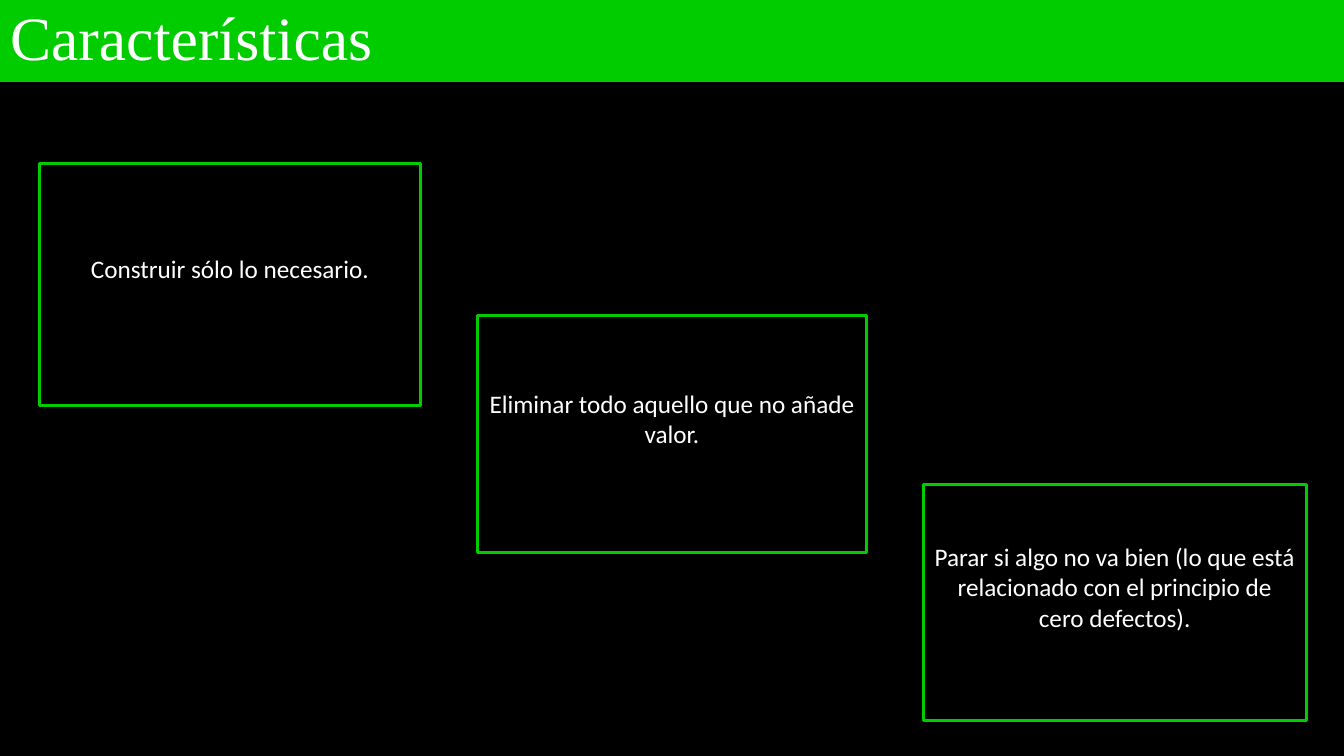
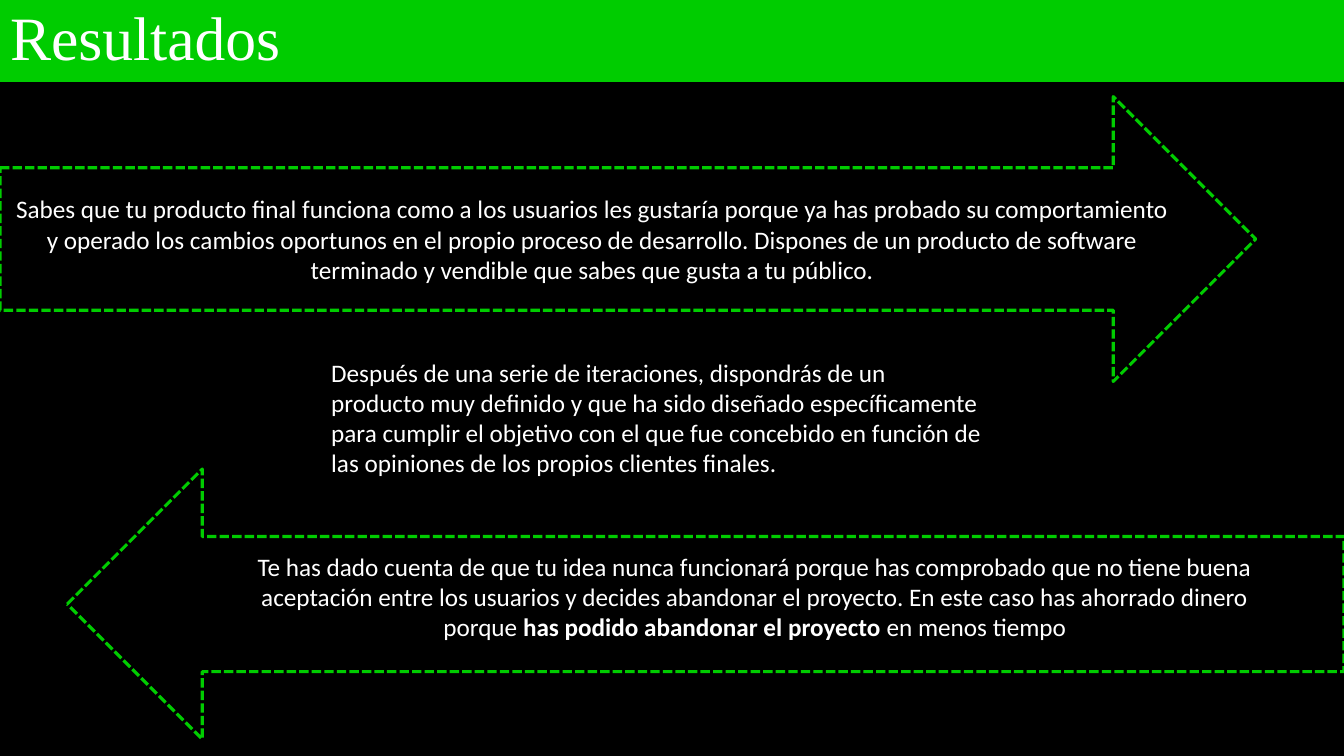
"""Builds two slides on the features and results of a lean process."""
import pptx
import pptx.dml.color
import pptx.enum.dml
import pptx.enum.shapes
import pptx.enum.text
import pptx.util

Pt = pptx.util.Pt
SHAPES = pptx.enum.shapes.MSO_SHAPE
ALIGN = pptx.enum.text.PP_ALIGN
ANCHOR = pptx.enum.text.MSO_ANCHOR
DASH = pptx.enum.dml.MSO_LINE.SQUARE_DOT

GREEN, BLACK, WHITE = "00CC00", "000000", "FFFFFF"
WIDTH, HEIGHT, BAND_HEIGHT = 960, 540, 58.5
INSETS = (7.2, 3.6, 7.2, 3.6)
RAISED = (7.2, 3.6, 7.2, 25.6)

FEATURES = [
    ("Construir sólo lo necesario.", (28, 116.5, 272.5, 173)),
    ("Eliminar todo aquello que no añade valor.", (341, 225.5, 278, 169)),
    ("Parar si algo no va bien (lo que está relacionado con el principio de "
     "cero defectos).", (659.5, 346, 273.5, 168.5)),
]
RESULTS = [
    (SHAPES.RIGHT_ARROW, (0, 69, 897, 203.5), INSETS, [
        ("Sabes que tu producto final funciona como a los usuarios les gustaría "
         "porque ya has probado su comportamiento y operado los cambios oportunos "
         "en el propio proceso de desarrollo. Dispones de un producto de software "
         "terminado y vendible que sabes que gusta a tu público.", False)]),
    (SHAPES.LEFT_ARROW, (48, 335, 912, 193), (65, 3.6, 43, 14.6), [
        ("Te has dado cuenta de que tu idea nunca funcionará porque has comprobado "
         "que no tiene buena aceptación entre los usuarios y decides abandonar el "
         "proyecto. En este caso has ahorrado dinero porque ", False),
        ("has podido abandonar el proyecto", True),
        (" en menos tiempo", False)]),
]
SUMMARY = (
    "Después de una serie de iteraciones, dispondrás de un producto muy definido y "
    "que ha sido diseñado específicamente para cumplir el objetivo con el que fue "
    "concebido en función de las opiniones de los propios clientes finales.")
SUMMARY_PLACE = (229.5, 251.5, 480, 94.5)


def color(value):
    return pptx.dml.color.RGBColor.from_string(value)


def paint(fill, value):
    fill.solid()
    fill.fore_color.rgb = color(value)


def write(shape, parts, font="Calibri", size=18, align=ALIGN.CENTER,
          anchor=ANCHOR.MIDDLE, insets=INSETS):
    frame = shape.text_frame
    frame.word_wrap = True
    frame.auto_size = pptx.enum.text.MSO_AUTO_SIZE.NONE
    frame.vertical_anchor = anchor
    (frame.margin_left, frame.margin_top,
     frame.margin_right, frame.margin_bottom) = map(Pt, insets)
    paragraph = frame.paragraphs[0]
    paragraph.alignment = align
    for text, bold in parts:
        run = paragraph.add_run()
        run.text = text
        run.font.name, run.font.size, run.font.bold = font, Pt(size), bold
        run.font.color.rgb = color(WHITE)
    return paragraph


def add_titled_slide(deck, heading):
    slide = deck.slides.add_slide(deck.slide_layouts[5])
    paint(slide.background.fill, BLACK)
    title = slide.shapes.title
    title.left, title.top = Pt(0), Pt(0)
    title.width, title.height = Pt(WIDTH), Pt(BAND_HEIGHT)
    paint(title.fill, GREEN)
    paragraph = write(title, [(heading, False)], "Times New Roman", 44, ALIGN.LEFT)
    paragraph.line_spacing = 0.9
    return slide


def add_outlined(slide, kind, place, parts, insets, dash=None):
    shape = slide.shapes.add_shape(kind, *map(Pt, place))
    shape.shadow.inherit = False
    paint(shape.fill, BLACK)
    shape.line.color.rgb = color(GREEN)
    shape.line.width = Pt(2.25)
    if dash:
        shape.line.dash_style = dash
    write(shape, parts, insets=insets)


def main():
    deck = pptx.Presentation()
    deck.slide_width, deck.slide_height = Pt(WIDTH), Pt(HEIGHT)

    features = add_titled_slide(deck, "Características")
    for text, place in FEATURES:
        add_outlined(features, SHAPES.RECTANGLE, place, [(text, False)], RAISED)

    results = add_titled_slide(deck, "Resultados")
    for kind, place, insets, parts in RESULTS:
        add_outlined(results, kind, place, parts, insets, DASH)
    summary = results.shapes.add_textbox(*map(Pt, SUMMARY_PLACE))
    write(summary, [(SUMMARY, False)], align=ALIGN.LEFT, anchor=ANCHOR.TOP)

    deck.save("out.pptx")


if __name__ == "__main__":
    main()
